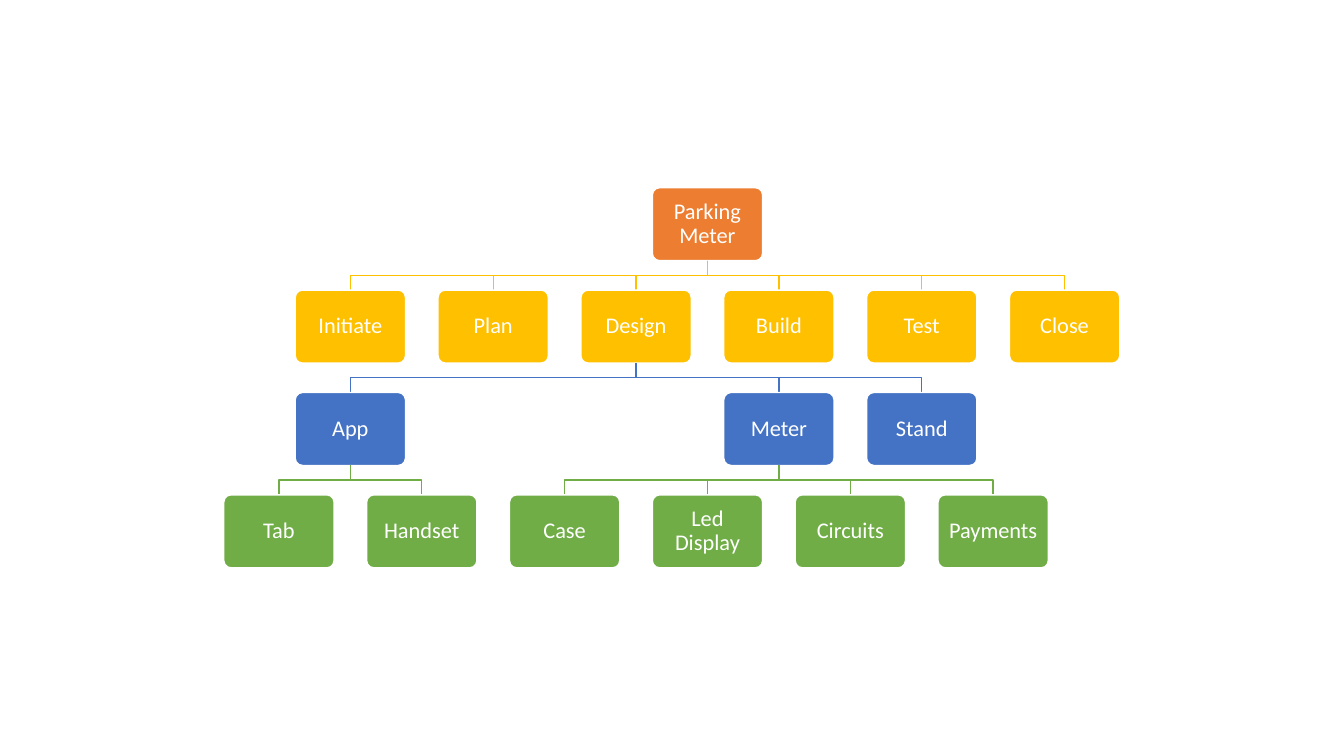
from pptx import Presentation, util as u
from pptx.dml.color import RGBColor
from pptx.enum import shapes, text

# Grid in cm: columns are half a box pitch apart
LEFT, STEP = 7.03, 1.8
TOP, PITCH = 4.73, 2.58
WIDE, HIGH = 2.78, 1.84
WHITE = "FFFFFF"
LEVELS = ["ED7D31", "FFC000", "4472C4", "70AD47"]

# Each node: label, column of its centre, children
TREE = ("Parking Meter", 6, [
    ("Initiate", 1, []),
    ("Plan", 3, []),
    ("Design", 5, [
        ("App", 1, [("Tab", 0, []), ("Handset", 2, [])]),
        ("Meter", 7, [
            ("Case", 4, []),
            ("Led Display", 6, []),
            ("Circuits", 8, []),
            ("Payments", 10, []),
        ]),
        ("Stand", 9, []),
    ]),
    ("Build", 7, []),
    ("Test", 9, []),
    ("Close", 11, []),
])


def color(code):
    return RGBColor.from_string(code)


def mid(col):
    return LEFT + col * STEP


def top(level):
    return TOP + level * PITCH


def edge(shape, code):
    shape.shadow.inherit = False
    shape.line.color.rgb = color(code)
    shape.line.width = u.Pt(1)


def add_box(group, label, col, level):
    box = group.shapes.add_shape(
        shapes.MSO_SHAPE.ROUNDED_RECTANGLE,
        u.Cm(mid(col) - WIDE / 2), u.Cm(top(level)), u.Cm(WIDE), u.Cm(HIGH))
    box.adjustments[0] = 0.1
    box.fill.solid()
    box.fill.fore_color.rgb = color(LEVELS[level])
    edge(box, WHITE)

    frame = box.text_frame
    frame.word_wrap = True
    frame.vertical_anchor = text.MSO_ANCHOR.MIDDLE
    frame.margin_left = frame.margin_right = u.Cm(0.18)
    frame.margin_top = frame.margin_bottom = u.Cm(0.18)
    para = frame.paragraphs[0]
    para.alignment = text.PP_ALIGN.CENTER
    para.line_spacing = 0.9
    run = para.add_run()
    run.text = label
    run.font.name = "Calibri"
    run.font.size = u.Pt(16)
    run.font.color.rgb = color(WHITE)


def add_elbow(group, start, end, level):
    """Bent line from a parent's column down to a child at this level."""
    high, low = top(level - 1) + HIGH, top(level)
    bend = (high + low) / 2
    spots = [(mid(start), high), (mid(start), bend),
             (mid(end), bend), (mid(end), low)]
    first, *rest = [(u.Cm(x), u.Cm(y)) for x, y in spots]
    pen = group.shapes.build_freeform(*first)
    pen.add_line_segments(rest, close=False)
    elbow = pen.convert_to_shape()
    elbow.fill.background()
    edge(elbow, LEVELS[level])


def add_node(group, node, level=0):
    label, col, kids = node
    add_box(group, label, col, level)
    for kid in kids:
        add_elbow(group, col, kid[1], level + 1)
        add_node(group, kid, level + 1)


def main():
    deck = Presentation()
    deck.slide_width, deck.slide_height = u.Cm(33.87), u.Cm(19.05)
    slide = deck.slides.add_slide(deck.slide_layouts[6])
    add_node(slide.shapes.add_group_shape(), TREE)
    deck.save("out.pptx")


main()
